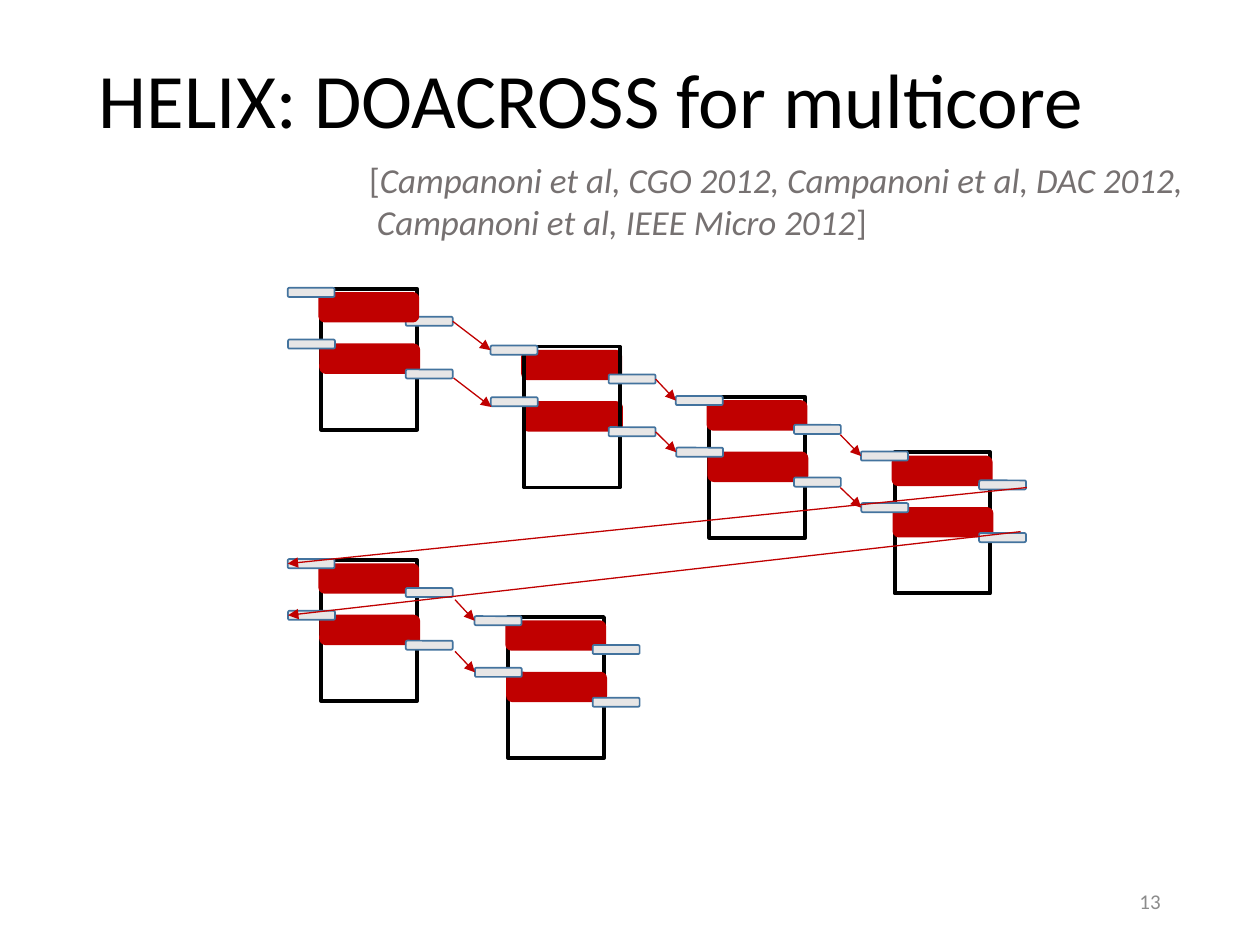
from pptx import Presentation
from pptx.dml.color import RGBColor
from pptx.enum.shapes import MSO_CONNECTOR as CONN, MSO_SHAPE as SHAPE
from pptx.enum.text import MSO_ANCHOR as ANCHOR, PP_ALIGN as ALIGN
from pptx.oxml.ns import qn
from pptx.util import Pt
from lxml import etree

BLACK = RGBColor(0x00, 0x00, 0x00)
RED = RGBColor(0xC0, 0x00, 0x00)
LIGHT = RGBColor(0xE7, 0xE6, 0xE6)
BLUE = RGBColor(0x43, 0x73, 0x9E)
CITE_GREY = RGBColor(0x76, 0x71, 0x71)
PAGE_GREY = RGBColor(0x8C, 0x8C, 0x8C)

prs = Presentation()
prs.slide_width, prs.slide_height = Pt(720), Pt(540)
slide = prs.slides.add_slide(prs.slide_layouts[6])


def add_run(p, text, size=20, color=BLACK, italic=False):
    r = p.add_run()
    r.text = text
    r.font.name = "Calibri"
    r.font.size = Pt(size)
    r.font.italic = italic
    r.font.color.rgb = color


def add_box(x, y, w, h, anchor=ANCHOR.MIDDLE, wrap=True):
    tf = slide.shapes.add_textbox(Pt(x), Pt(y), Pt(w), Pt(h)).text_frame
    tf.word_wrap = wrap
    tf.vertical_anchor = anchor
    return tf.paragraphs[0]


p = add_box(49.5, 7.2, 621, 104.4)
p.line_spacing = 0.9
add_run(p, "HELIX: DOACROSS for multicore", size=44)

p = add_box(203.8, 87.1, 483, 55.4, anchor=ANCHOR.TOP, wrap=False)
add_run(p, "[", color=CITE_GREY)
add_run(p, "Campanoni et al, CGO 2012, Campanoni et al, DAC 2012,", color=CITE_GREY, italic=True)
p.add_line_break()
add_run(p, " Campanoni et al, IEEE Micro 2012", color=CITE_GREY, italic=True)
add_run(p, "]", color=CITE_GREY)

p = add_box(508.3, 500.4, 162, 28.8)
p.alignment = ALIGN.RIGHT
add_run(p, "13", size=12, color=PAGE_GREY)

styles = {
    "core": (SHAPE.RECTANGLE, 54.7, 80.6, None, BLACK, 2.25),
    "block": (SHAPE.ROUNDED_RECTANGLE, 55.4, 15.1, RED, RED, 2.25),
    "tab": (SHAPE.ROUNDED_RECTANGLE, 26.8, 5.2, LIGHT, BLUE, 1),
}
parts = {
    "core": ("core", 0, 0),
    "block 1": ("block", -0.5, 3),
    "block 2": ("block", 0, 32.4),
    "in 1": ("tab", -19.2, -0.5),
    "in 2": ("tab", -19, 29),
    "out 1": ("tab", 48.3, 16),
    "out 2": ("tab", 48.3, 46.1),
}
tabs_last = ("core", "block 1", "block 2", "in 1", "in 2", "out 1", "out 2")
core_over = ("block 1", "block 2", "core", "in 1", "in 2", "out 1", "out 2")
block_over = ("core", "out 1", "block 1", "block 2", "in 1", "in 2", "out 2")
cores = [
    (183.6, 165, block_over),
    (299.5, 198, core_over),
    (405.4, 226.8, tabs_last),
    (511.2, 258.5, tabs_last),
    (183.6, 320, tabs_last),
    (290.4, 352.6, tabs_last),
]
tabs = {}
for i, (x, y, order) in enumerate(cores):
    for name in order:
        style, dx, dy = parts[name]
        shape, w, h, fill, line, weight = styles[style]
        s = slide.shapes.add_shape(shape, Pt(x + dx), Pt(y + dy), Pt(w), Pt(h))
        s.shadow.inherit = False
        if fill is None:
            s.fill.background()
        else:
            s.fill.solid()
            s.fill.fore_color.rgb = fill
        s.line.color.rgb = line
        s.line.width = Pt(weight)
        tabs[i, name] = s

arrows = [
    ((0, "out 1"), (1, "in 1")),
    ((259.2, 216), (280.8, 232.6)),
    ((1, "out 1"), (2, "in 1")),
    ((1, "out 2"), (2, "in 2")),
    ((480.2, 248.4), (3, "in 1")),
    ((480.2, 278.6), (3, "in 2")),
    ((586.8, 278.6), (4, "in 1")),
    ((583.2, 303.8), (4, "in 2")),
    ((260, 342.7), (5, "in 1")),
    ((260, 372.2), (5, "in 2")),
]
for start, end in arrows:
    c = slide.shapes.add_connector(CONN.STRAIGHT, 0, 0, 0, 0)
    if start in tabs:
        c.begin_connect(tabs[start], 3)
    else:
        c.begin_x, c.begin_y = Pt(start[0]), Pt(start[1])
    if end in tabs:
        c.end_connect(tabs[end], 1)
    else:
        c.end_x, c.end_y = Pt(end[0]), Pt(end[1])
    c.line.color.rgb = RED
    c.line.width = Pt(0.75)
    etree.SubElement(c.line._get_or_add_ln(), qn("a:tailEnd"), type="triangle")
    etree.SubElement(c._element.spPr, qn("a:effectLst"))

prs.save("out.pptx")
